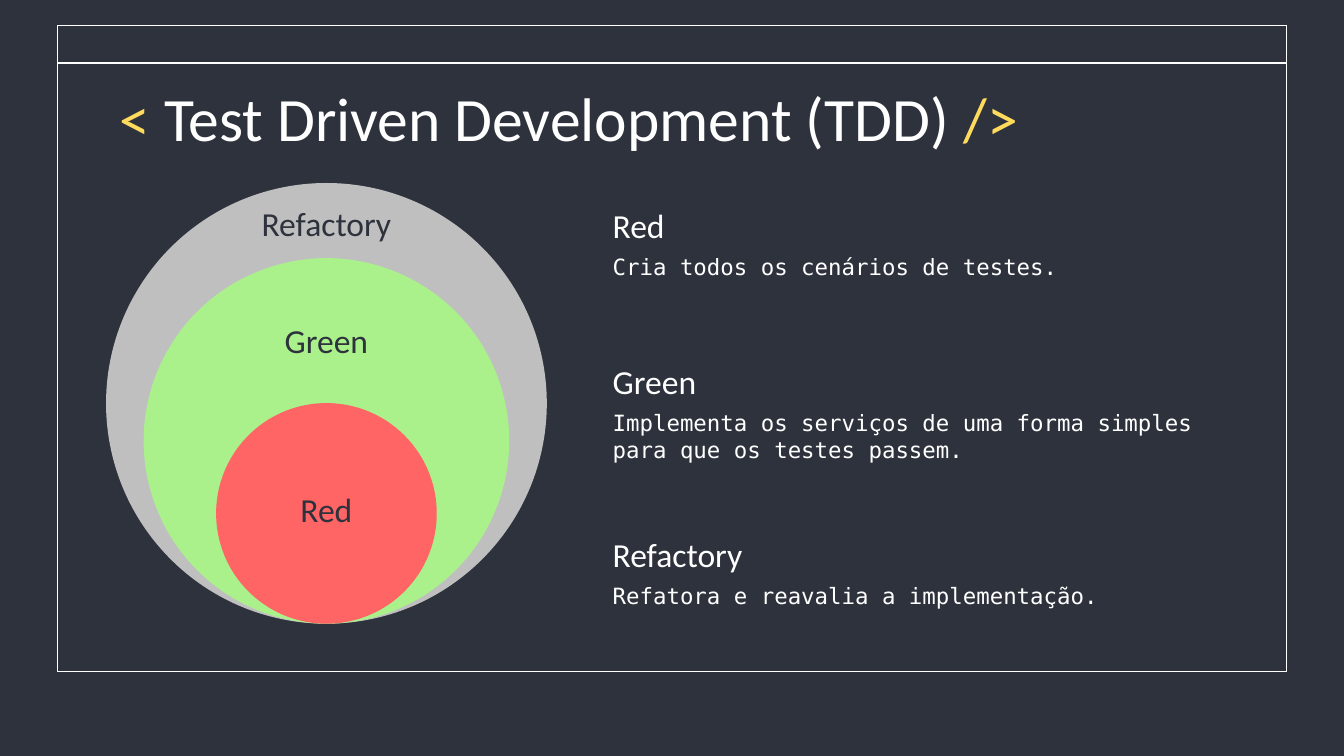
"""Builds a slide on the three nested stages of Test Driven Development."""
from pptx import Presentation
from pptx.dml.color import RGBColor
from pptx.enum.shapes import MSO_SHAPE as Shape
from pptx.enum.text import MSO_ANCHOR as Anchor, PP_ALIGN as Align
from pptx.util import Cm, Pt

DARK = RGBColor(0x2D, 0x32, 0x3C)
WHITE = RGBColor(0xFF, 0xFF, 0xFF)
YELLOW = RGBColor(0xFF, 0xDB, 0x5D)
GREY = RGBColor(0xBF, 0xBF, 0xBF)
GREEN = RGBColor(0xAB, 0xF1, 0x8B)
RED = RGBColor(0xFF, 0x65, 0x65)

HEAD_FONT = "Calibri"
BODY_FONT = "DejaVu Sans Mono"

TEXT_LEFT, TEXT_WIDTH = 11.33, 12.07
CENTRE_X, CIRCLES_BOTTOM = 6.17, 11.79
LABEL_WIDTH = 3.53

STAGES = [
    ("Red", "Cria todos os cenários de testes.", 3.71),
    ("Green", "Implementa os serviços de uma forma simples para que os testes passem.", 6.66),
    ("Refactory", "Refatora e reavalia a implementação.", 9.93),
]
CIRCLES = [
    ("Refactory", 8.33, GREY, 3.58),
    ("Green", 6.91, GREEN, 5.79),
    ("Red", 4.17, RED, 8.99),
]


def add_text(s, text, left, top, width, height, size=18, font=HEAD_FONT,
             color=WHITE, align=Align.LEFT, anchor=Anchor.TOP, after=0):
    """Add a text box; text is a string or a list of (string, colour) runs."""
    tf = s.shapes.add_textbox(Cm(left), Cm(top), Cm(width), Cm(height)).text_frame
    tf.word_wrap = True
    tf.vertical_anchor = anchor
    tf.margin_left = tf.margin_right = tf.margin_top = tf.margin_bottom = Cm(0.25)
    p = tf.paragraphs[0]
    p.alignment = align
    p.space_after = Pt(after)
    for part, part_color in [(text, color)] if isinstance(text, str) else text:
        r = p.add_run()
        r.text = part
        r.font.size = Pt(size)
        r.font.name = font
        r.font.color.rgb = part_color


def add_shape(s, kind, left, top, width, height, fill, line=None):
    """Add a flat filled shape, outlined only when a line colour is given."""
    sp = s.shapes.add_shape(kind, Cm(left), Cm(top), Cm(width), Cm(height))
    sp.shadow.inherit = False
    sp.fill.solid()
    sp.fill.fore_color.rgb = fill
    if line is None:
        sp.line.fill.background()
    else:
        sp.line.color.rgb = line
        sp.line.width = Pt(0.75)


def add_window(s):
    """Draw the window frame and its title bar."""
    for height in (12.22, 0.71):
        add_shape(s, Shape.RECTANGLE, 1.09, 0.48, 23.22, height, DARK, WHITE)


def add_stage(s, name, description, top):
    """Add a stage heading with its description below."""
    add_text(s, name, TEXT_LEFT, top, TEXT_WIDTH, 1.17, anchor=Anchor.BOTTOM)
    add_text(s, description, TEXT_LEFT, top + 0.82, TEXT_WIDTH, 2.34,
             size=12, font=BODY_FONT, after=16)


def add_circles(s):
    """Draw the nested circles on a common base, then their labels."""
    for name, size, color, label_top in CIRCLES:
        add_shape(s, Shape.OVAL, CENTRE_X - size / 2, CIRCLES_BOTTOM - size,
                  size, size, color)
    for name, size, color, label_top in CIRCLES:
        add_text(s, name, CENTRE_X - LABEL_WIDTH / 2, label_top, LABEL_WIDTH, 1.42,
                 color=DARK, align=Align.CENTER)


def main():
    """Build the slide and save it."""
    prs = Presentation()
    prs.slide_width, prs.slide_height = Cm(25.4), Cm(14.29)
    s = prs.slides.add_slide(prs.slide_layouts[6])
    s.background.fill.solid()
    s.background.fill.fore_color.rgb = DARK
    add_window(s)
    for stage in STAGES:
        add_stage(s, *stage)
    title = [("< ", YELLOW), ("Test Driven Development (TDD) ", WHITE), ("/>", YELLOW)]
    add_text(s, title, 2.01, 1.27, 21.41, 1.6, size=33)
    add_circles(s)
    prs.save("out.pptx")


if __name__ == "__main__":
    main()
